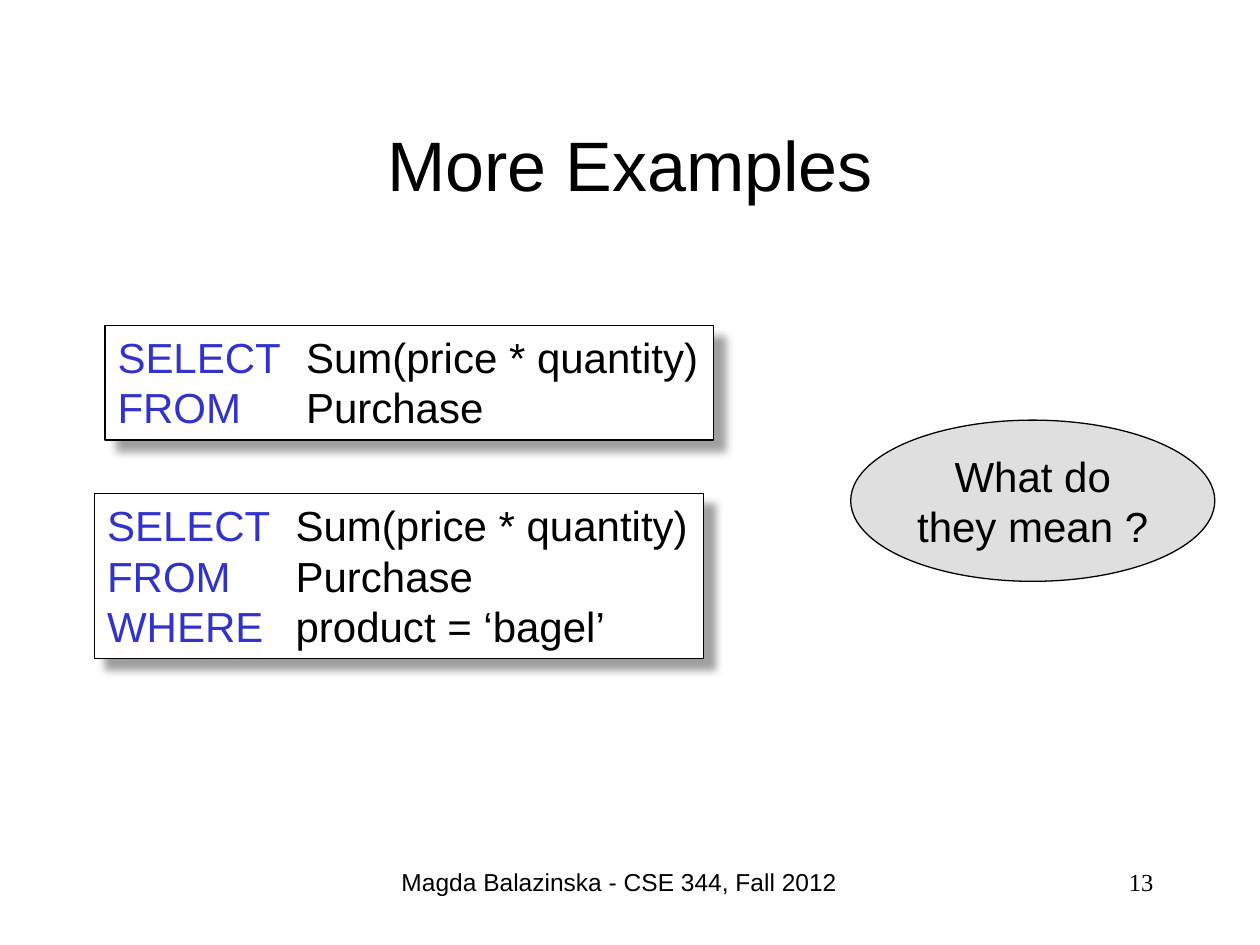
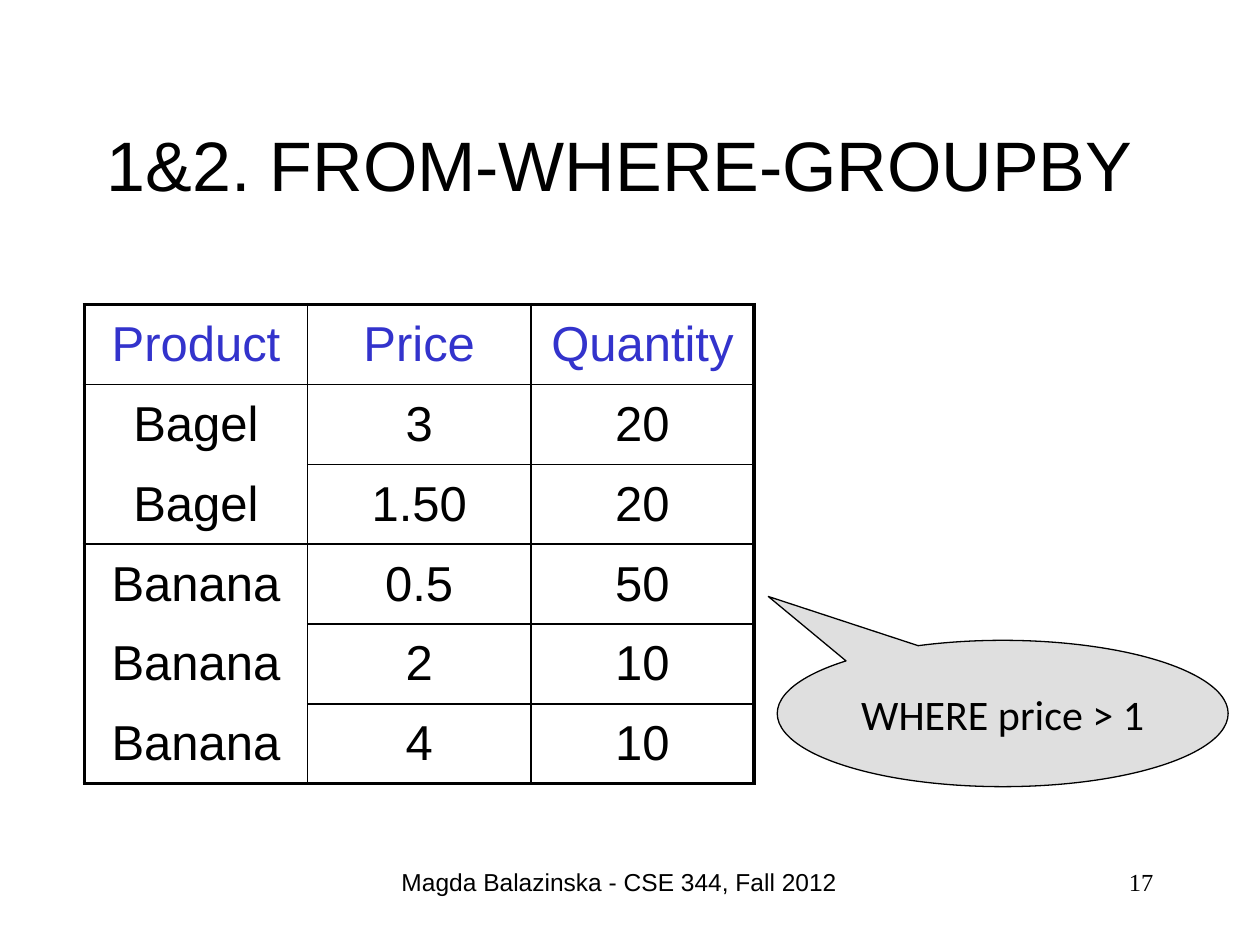
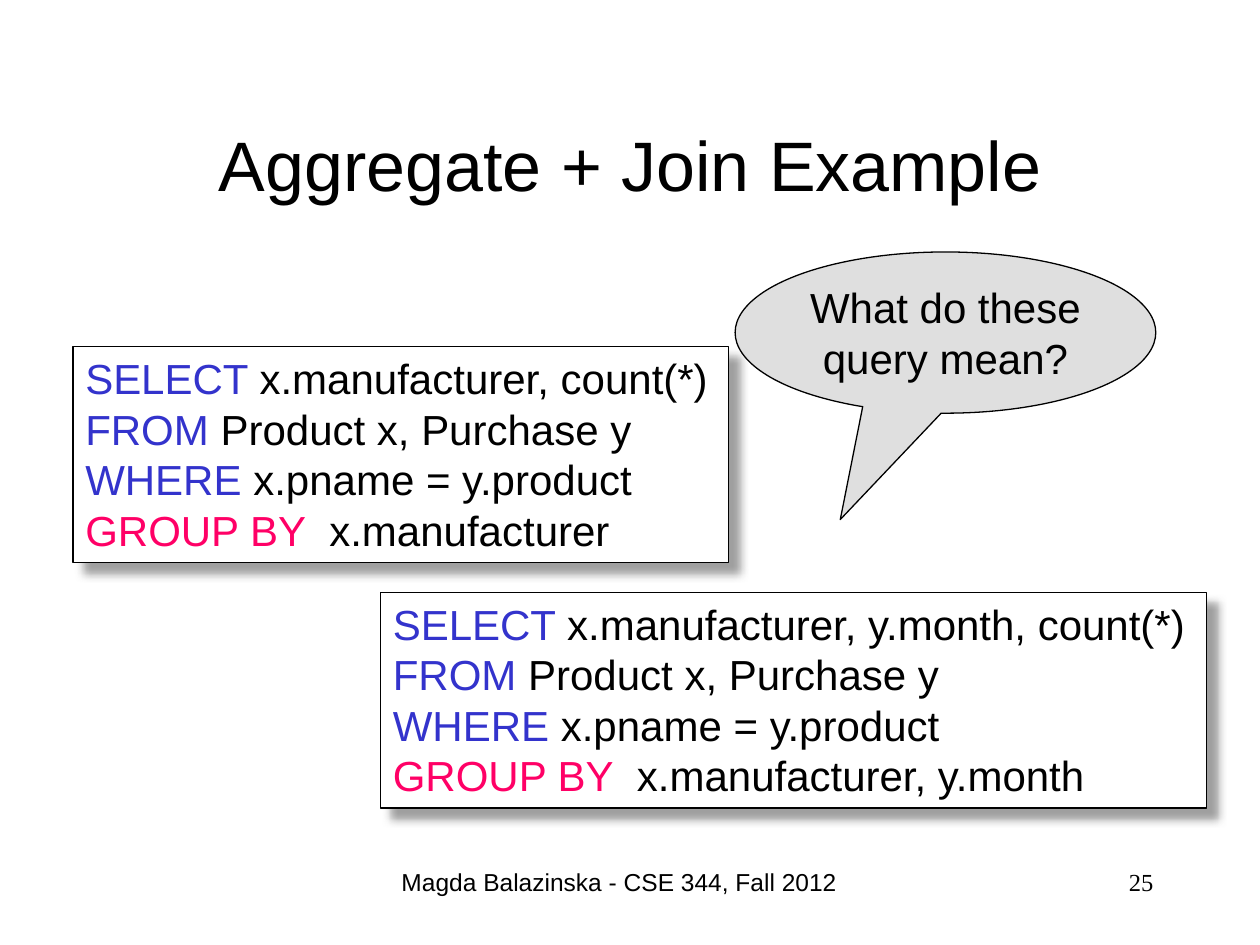
from pptx import Presentation
from pptx import util as u
from pptx.dml.color import RGBColor
from pptx.enum import shapes, text
from pptx.oxml import parse_xml
from pptx.oxml.ns import nsdecls, qn
from lxml import etree

COLORS = {
    "ink": "000000",
    "paper": "FFFFFF",
    "keyword": "3333CC",
    "grouping": "FF0066",
    "bubble": "C0C0C0",
    "shadow": "808080",
}
FOOTER = "Magda Balazinska - CSE 344, Fall 2012"
FOOTER_AT = (7.83, 17.36, 9.31, 1.27)
NUMBER_AT = (18.2, 17.36, 5.3, 1.27)
TITLE_AT = (1.9, 1.7, 21.6, 3.18)
WIDE_TITLE_AT = (1.06, 1.7, 22.86, 3.18)
LINE_HEIGHT, BOX_PADDING = 1.02, 0.27
OUTER, INNER = 2.25, 1

TOTAL = [("SELECT\t", "Sum(price * quantity)"), ("FROM\t", "Purchase")]
BAGEL_TOTAL = TOTAL + [("WHERE\t", "product = ‘bagel’")]
JOIN = [("FROM ", "Product x, Purchase y"), ("WHERE ", "x.pname = y.product")]
BY_MANUFACTURER = [
    ("SELECT ", "x.manufacturer, count(*)"),
    *JOIN,
    ("GROUP BY\t", "x.manufacturer"),
]
BY_MONTH = [
    ("SELECT ", "x.manufacturer, y.month, count(*)"),
    *JOIN,
    ("GROUP BY\t", "x.manufacturer, y.month"),
]
PURCHASES = [
    ("Product", "Price", "Quantity"),
    ("Bagel", "3", "20"),
    ("Bagel", "1.50", "20"),
    ("Banana", "0.5", "50"),
    ("Banana", "2", "10"),
    ("Banana", "4", "10"),
]


def rgb(name):
    return RGBColor.from_string(COLORS[name])


def cm(*lengths):
    return [u.Cm(length) for length in lengths]


def style(paragraph, size, font="Arial", color="ink", align=None):
    paragraph.alignment = align
    paragraph.font.size = u.Pt(size)
    paragraph.font.name = font
    paragraph.font.color.rgb = rgb(color)


def add_label(slide, words, at, font, align):
    frame = slide.shapes.add_textbox(*cm(*at)).text_frame
    frame.word_wrap = True
    frame.text = words
    style(frame.paragraphs[0], 14, font, align=align)


def add_slide(deck, heading, number, title_at=TITLE_AT):
    slide = deck.slides.add_slide(deck.slide_layouts[5])
    title = slide.shapes.title
    title.left, title.top, title.width, title.height = cm(*title_at)
    title.text_frame.text = heading
    title.text_frame.vertical_anchor = text.MSO_ANCHOR.MIDDLE
    style(title.text_frame.paragraphs[0], 40, align=text.PP_ALIGN.CENTER)
    add_label(slide, FOOTER, FOOTER_AT, "Arial", text.PP_ALIGN.CENTER)
    add_label(slide, str(number), NUMBER_AT, "Times New Roman", text.PP_ALIGN.RIGHT)
    return slide


def add_outlined(slide, kind, at, fill):
    outlined = slide.shapes.add_shape(kind, *cm(*at))
    outlined.shadow.inherit = False
    outlined.fill.solid()
    outlined.fill.fore_color.rgb = rgb(fill)
    outlined.line.color.rgb = rgb("ink")
    outlined.line.width = u.Pt(0.75)
    return outlined


def drop_shadow(box):
    effects = box._element.spPr.find(qn("a:effectLst"))
    effects.append(parse_xml(
        f'<a:outerShdw {nsdecls("a")} blurRad="{u.Pt(5)}" dist="{u.Pt(8.5)}" '
        f'dir="2700000" algn="tl" rotWithShape="0"><a:srgbClr val="{COLORS["shadow"]}">'
        '<a:alpha val="75000"/></a:srgbClr></a:outerShdw>'))


def add_query(slide, clauses, left, top, width, tab):
    height = len(clauses) * LINE_HEIGHT + BOX_PADDING
    box = add_outlined(slide, shapes.MSO_SHAPE.RECTANGLE, (left, top, width, height), "paper")
    drop_shadow(box)
    frame = box.text_frame
    frame.word_wrap = True
    frame.vertical_anchor = text.MSO_ANCHOR.TOP
    for index, (keyword, rest) in enumerate(clauses):
        clause = frame.add_paragraph() if index else frame.paragraphs[0]
        stops = etree.SubElement(clause._p.get_or_add_pPr(), qn("a:tabLst"))
        etree.SubElement(stops, qn("a:tab"), pos=str(u.Cm(tab)), algn="l")
        style(clause, 24, align=text.PP_ALIGN.LEFT)
        keyword_color = "grouping" if keyword.startswith("GROUP") else "keyword"
        for words, color in ((keyword, keyword_color), (rest, "ink")):
            run = clause.add_run()
            run.text = words
            run.font.color.rgb = rgb(color)


def add_bubble(slide, kind, lines, at, tail=(), font="Arial", anchor=text.MSO_ANCHOR.MIDDLE):
    bubble = add_outlined(slide, kind, at, "bubble")
    shade = bubble._element.spPr.find(qn("a:solidFill"))[0]
    etree.SubElement(shade, qn("a:alpha"), val="50000")
    for index, offset in enumerate(tail):
        bubble.adjustments[index] = offset
    frame = bubble.text_frame
    frame.word_wrap = False
    frame.vertical_anchor = anchor
    frame.text = "\n".join(lines)
    for paragraph in frame.paragraphs:
        style(paragraph, 24, font, align=text.PP_ALIGN.CENTER)


def set_border(cell, side, width):
    edge = etree.SubElement(cell._tc.get_or_add_tcPr(), qn(f"a:ln{side}"))
    if not width:
        etree.SubElement(edge, qn("a:noFill"))
        return
    edge.set("w", str(u.Pt(width)))
    solid = etree.SubElement(edge, qn("a:solidFill"))
    etree.SubElement(solid, qn("a:srgbClr"), val=COLORS["ink"])


def add_purchases(slide, rows, left, top, column_width, row_height):
    last_row, last_column = len(rows) - 1, len(rows[0]) - 1
    size = (column_width * (last_column + 1), row_height * (last_row + 1))
    table = slide.shapes.add_table(len(rows), len(rows[0]), *cm(left, top, *size)).table
    table.first_row = table.horz_banding = False

    def rule_above(r, c):
        if r in (0, len(rows)):
            return OUTER
        same_group = c == 0 and rows[r][0] == rows[r - 1][0]
        return 0 if same_group else INNER

    for r, row in enumerate(rows):
        for c, value in enumerate(row):
            cell = table.cell(r, c)
            set_border(cell, "L", INNER if c else OUTER)
            set_border(cell, "R", INNER if c < last_column else OUTER)
            set_border(cell, "T", rule_above(r, c))
            set_border(cell, "B", rule_above(r + 1, c))
            cell.fill.background()
            cell.vertical_anchor = text.MSO_ANCHOR.MIDDLE
            cell.text = value
            style(cell.text_frame.paragraphs[0], 28, color="ink" if r else "keyword",
                  align=text.PP_ALIGN.CENTER)


def main():
    deck = Presentation()
    deck.slide_width, deck.slide_height = cm(25.4, 19.05)
    callout = shapes.MSO_SHAPE.OVAL_CALLOUT

    examples = add_slide(deck, "More Examples", 13)
    add_query(examples, TOTAL, 2.12, 6.56, 12.27, tab=3.8)
    add_query(examples, BAGEL_TOTAL, 1.91, 9.95, 12.27, tab=3.8)
    add_bubble(examples, shapes.MSO_SHAPE.OVAL, ["What do", "they mean ?"],
               (17.15, 8.47, 7.34, 3.25))

    grouping = add_slide(deck, "1&2. FROM-WHERE-GROUPBY", 17, WIDE_TITLE_AT)
    add_purchases(grouping, PURCHASES, 1.7, 6.14, 4.5, 1.61)
    add_bubble(grouping, callout, ["WHERE price > 1"], (15.67, 12.91, 9.09, 2.95),
               (-0.52, -0.8), "Calibri")

    joins = add_slide(deck, "Aggregate + Join Example", 25)
    add_query(joins, BY_MANUFACTURER, 1.47, 6.99, 13.22, tab=4.92)
    add_bubble(joins, callout, ["What do these", "query mean?"], (14.82, 5.08, 8.48, 3.25),
               (-0.25, 1.16), anchor=text.MSO_ANCHOR.TOP)
    add_query(joins, BY_MONTH, 7.67, 11.94, 16.66, tab=4.92)

    deck.save("out.pptx")


if __name__ == "__main__":
    main()
